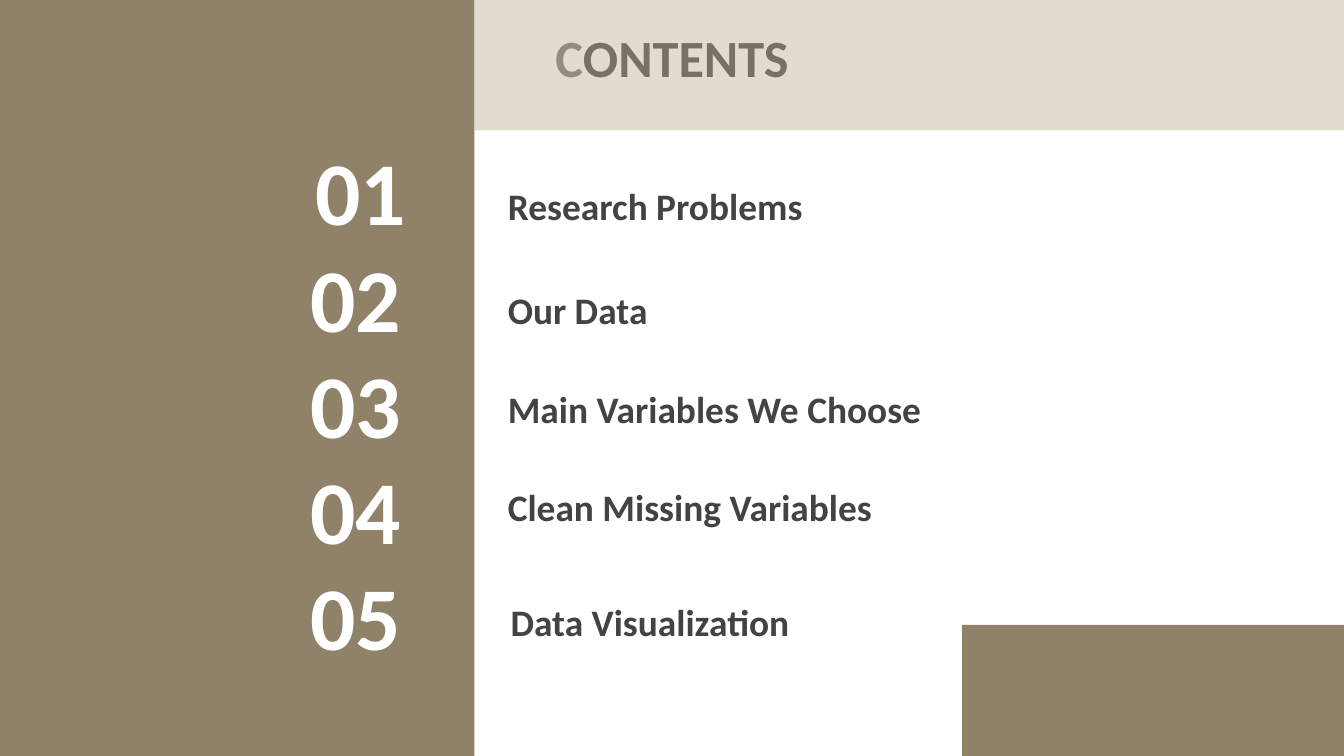
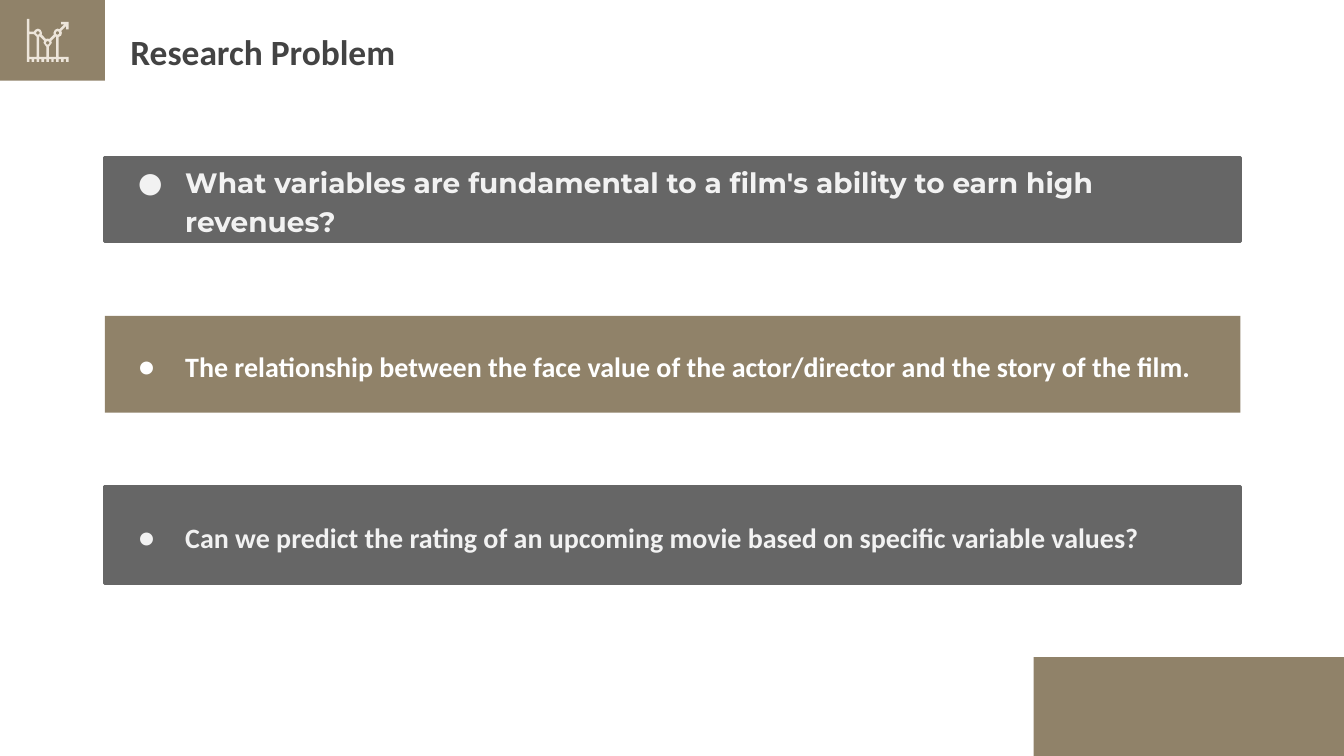
from math import cos, pi, sin

from lxml.etree import SubElement
from pptx import Presentation
from pptx.dml.color import RGBColor
from pptx.enum.shapes import MSO_SHAPE
from pptx.enum.text import MSO_ANCHOR, MSO_AUTO_SIZE, PP_ALIGN
from pptx.oxml.ns import qn
from pptx.util import Inches, Pt

BROWN = RGBColor(0x90, 0x82, 0x69)
SAND = RGBColor(0xCF, 0xC3, 0xAC)
CREAM = RGBColor(0xED, 0xE5, 0xDA)
GRAY = RGBColor(0x66, 0x66, 0x66)
DARK = RGBColor(0x43, 0x43, 0x43)
BLACK = RGBColor(0, 0, 0)
WHITE = RGBColor(0xFF, 0xFF, 0xFF)
PALE = RGBColor(0xF2, 0xF2, 0xF2)
WIDTH = 10
HEIGHT = WIDTH * 9 / 16


def write(shape, text, size, color, font="Calibri", align=PP_ALIGN.LEFT,
          anchor=MSO_ANCHOR.TOP, spacing=None, bullet=False):
    """Append a bold run to the first paragraph of a shape."""
    frame = shape.text_frame
    frame.word_wrap = True
    frame.auto_size = MSO_AUTO_SIZE.NONE
    frame.vertical_anchor = anchor
    frame.margin_left = frame.margin_right = Inches(0.1)
    frame.margin_top = frame.margin_bottom = Inches(0.1)
    paragraph = frame.paragraphs[0]
    paragraph.alignment = align
    if spacing:
        paragraph.line_spacing = spacing
    if bullet:
        properties = paragraph._p.get_or_add_pPr()
        properties.set("marL", str(Inches(0.5)))
        properties.set("indent", str(Inches(-0.35)))
        bullet_color = SubElement(properties, qn("a:buClr"))
        SubElement(bullet_color, qn("a:srgbClr"), val=str(color))
        SubElement(properties, qn("a:buFont"), typeface=font)
        SubElement(properties, qn("a:buChar"), char="●")
    run = paragraph.add_run()
    run.text = text
    run.font.name = font
    run.font.size = Pt(size)
    run.font.bold = True
    run.font.color.rgb = color


def add_band(slide, left, top, width, height, color):
    """Add a plain filled rectangle."""
    band = slide.shapes.add_shape(MSO_SHAPE.RECTANGLE, Inches(left), Inches(top),
                                  Inches(width), Inches(height))
    band.shadow.inherit = False
    band.fill.solid()
    band.fill.fore_color.rgb = color
    band.line.fill.background()
    return band


deck = Presentation()
deck.slide_width, deck.slide_height = Inches(WIDTH), Inches(HEIGHT)
title_only = deck.slide_layouts[5]

# Slide 1: contents
contents = deck.slides.add_slide(title_only)
heading = contents.shapes.title
heading.left, heading.top = Inches(0), Inches(0.09)
heading.width, heading.height = Inches(WIDTH), Inches(0.69)
for letters, color in (("C", DARK), ("ONTENTS", BLACK)):
    write(heading, letters, 28, color, align=PP_ALIGN.CENTER)

add_band(contents, 7.16, 4.65, 2.84, HEIGHT - 4.65, BROWN)
add_band(contents, 0, 0, 3.53, HEIGHT, BROWN)

# The translucent top band lies over the heading
top_band = add_band(contents, 3.53, 0, WIDTH - 3.53, 0.97, SAND)
band_color = top_band.fill._xPr.find(qn("a:solidFill"))[0]
SubElement(band_color, qn("a:alpha"), val="58000")

# Numbers with their chapters: number left, then chapter left, top, width and height
chapters = [
    ("Research Problems", 2.25, 3.68, 1.17, 3.75, 0.63),
    ("Our Data", 2.21, 3.68, 1.99, 3.07, 0.58),
    ("Main Variables We Choose", 2.21, 3.68, 2.68, 4.18, 0.63),
    ("Clean Missing Variables", 2.21, 3.68, 3.41, 3.94, 0.63),
    ("Data Visualization", 2.21, 3.7, 4.26, 3.28, 0.63),
]
for index, (chapter, number_left, left, top, width, height) in enumerate(chapters):
    number = contents.shapes.add_textbox(Inches(number_left), Inches(1.1 + 0.79 * index),
                                         Inches(1.31), Inches(0.63))
    write(number, f"{index + 1:02}", 48, WHITE, anchor=MSO_ANCHOR.MIDDLE)
    entry = contents.shapes.add_textbox(Inches(left), Inches(top),
                                        Inches(width), Inches(height))
    write(entry, chapter, 20, DARK, anchor=MSO_ANCHOR.BOTTOM)

# Slide 2: research problem
problem = deck.slides.add_slide(title_only)
heading = problem.shapes.title
heading.left, heading.top = Inches(0.87), Inches(0.08)
heading.width, heading.height = Inches(7.58), Inches(0.52)
write(heading, "Research Problem", 19, DARK, spacing=1.15)
add_band(problem, 0, 0, 0.78, 0.6, BROWN)

# Line chart icon, in thousandths of an inch: toothed base, then the line and arrow
outline = [(200, 140), (200, 460)]
for tooth in range(9):
    right = 218 + 36.5 * tooth
    outline += [(right, 460)]
    if tooth < 8:
        outline += [(right, 440), (right + 18, 440), (right + 18, 460)]
outline += [(510, 424), (437, 424), (437, 275), (455, 265), (461, 245), (456, 230),
            (492, 194), (492, 218), (510, 218), (510, 163), (455, 163), (455, 181),
            (479, 181), (443, 217), (428, 213), (408, 222), (398, 245), (401, 257),
            (368, 290), (355, 287), (342, 290), (310, 257), (313, 245), (303, 222),
            (282, 213), (262, 222), (252, 236), (218, 236), (218, 140)]
holes = [
    [(218, 254), (252, 254), (273, 274), (273, 424), (218, 424)],
    [(295, 270), (329, 304), (324, 319), (345, 348), (345, 424), (291, 424), (291, 274)],
    [(415, 270), (419, 274), (419, 424), (364, 424), (364, 348), (386, 319), (381, 304)],
]
for x, y in ((282, 245), (355, 319), (428, 245)):
    holes.append([(x + 13 * cos(step * pi / 6), y + 13 * sin(step * pi / 6))
                  for step in range(12)])
pen = problem.shapes.build_freeform(*outline[0], scale=914.4)
pen.add_line_segments(outline[1:], close=True)
for hole in holes:
    pen.move_to(*hole[0])
    pen.add_line_segments(hole[1:], close=True)
icon = pen.convert_to_shape()
icon.shadow.inherit = False
icon.fill.solid()
icon.fill.fore_color.rgb = CREAM
icon.line.fill.background()

# Questions
questions = [
    ("What variables are fundamental to a film's ability to earn high revenues?",
     1.17, 0.63, GRAY, PALE, "Montserrat"),
    ("The relationship between the face value of the actor/director and the story of the film.",
     2.35, 0.72, BROWN, WHITE, "Calibri"),
    ("Can we predict the rating of an upcoming movie based on specific variable values?",
     3.62, 0.72, GRAY, PALE, "Calibri"),
]
for question, top, height, fill, color, font in questions:
    bar = add_band(problem, 0.78, top, 8.45, height, fill)
    if fill == GRAY:
        bar.line.color.rgb = GRAY
        bar.line.width = Pt(1.5)
    write(bar, question, 15, color, font=font, anchor=MSO_ANCHOR.MIDDLE,
          spacing=1.15, bullet=True)

add_band(problem, 7.69, 4.89, 2.31, HEIGHT - 4.89, BROWN)

deck.save("out.pptx")
